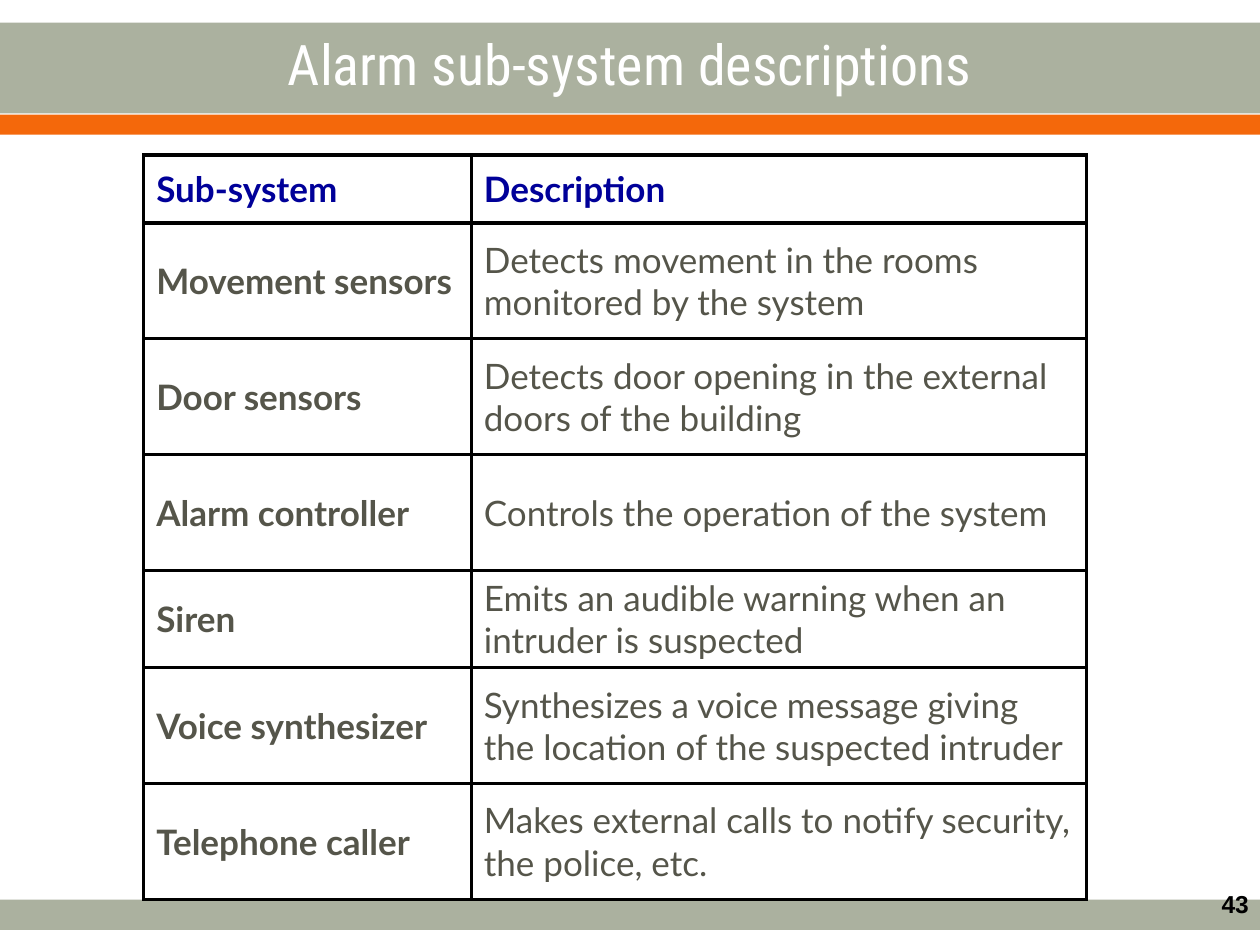
from dataclasses import dataclass
from typing import Any

from lxml.etree import SubElement
from pptx import Presentation
from pptx.dml.color import RGBColor
from pptx.enum.shapes import MSO_SHAPE
from pptx.enum.text import MSO_ANCHOR, PP_ALIGN
from pptx.oxml.ns import qn
from pptx.util import Inches, Pt

SUBSYSTEMS = [
    ("Sub-system", "Description"),
    ("Movement sensors", "Detects movement in the rooms monitored by the system"),
    ("Door sensors", "Detects door opening in the external doors of the building"),
    ("Alarm controller", "Controls the operation of the system"),
    ("Siren", "Emits an audible warning when an intruder is suspected"),
    ("Voice synthesizer", "Synthesizes a voice message giving the location of the suspected intruder"),
    ("Telephone caller", "Makes external calls to notify security, the police, etc."),
]
COLUMN_WIDTHS = [2.6, 4.88]
ROW_HEIGHTS = [0.54, 0.92, 0.92, 0.92, 0.77, 0.92, 0.92]


def color(value):
    return RGBColor.from_string(value)


@dataclass
class SlideBuilder:
    slide: Any
    sage: str = "ABB19F"
    orange: str = "F4680B"
    white: str = "FFFFFF"
    black: str = "000000"
    heading: str = "000099"
    body: str = "55554A"

    def band(self, top, height, fill):
        shape = self.slide.shapes.add_shape(
            MSO_SHAPE.RECTANGLE, 0, Inches(top), Inches(10), Inches(height))
        shape.shadow.inherit = False
        shape.fill.solid()
        shape.fill.fore_color.rgb = color(fill)
        shape.line.fill.background()

    def set_text(self, frame, text, font, size, fill, bold=False, align=PP_ALIGN.LEFT):
        frame.word_wrap = True
        paragraph = frame.paragraphs[0]
        paragraph.text = text
        paragraph.alignment = align
        paragraph.font.name = font
        paragraph.font.size = Pt(size)
        paragraph.font.bold = bold
        paragraph.font.color.rgb = color(fill)

    def text(self, left, top, width, height, text, anchor, **style):
        box = self.slide.shapes.add_textbox(
            Inches(left), Inches(top), Inches(width), Inches(height))
        box.text_frame.vertical_anchor = anchor
        self.set_text(box.text_frame, text, **style)

    def borders(self, cell):
        properties = cell._tc.get_or_add_tcPr()
        for index, side in enumerate(("a:lnL", "a:lnR", "a:lnT", "a:lnB")):
            line = properties.makeelement(qn(side), {"w": str(Pt(2))})
            fill = SubElement(line, qn("a:solidFill"))
            SubElement(fill, qn("a:srgbClr"), val=self.black)
            properties.insert(index, line)

    def table(self, left, top, rows, widths, heights):
        table = self.slide.shapes.add_table(
            len(rows), len(widths), Inches(left), Inches(top),
            Inches(sum(widths)), Inches(sum(heights))).table
        table.horz_banding = False
        for column, width in zip(table.columns, widths):
            column.width = Inches(width)
        for row_index, (row, height) in enumerate(zip(rows, heights)):
            table.rows[row_index].height = Inches(height)
            for column_index, text in enumerate(row):
                cell = table.cell(row_index, column_index)
                cell.fill.background()
                cell.vertical_anchor = MSO_ANCHOR.MIDDLE
                self.borders(cell)
                header = row_index == 0
                self.set_text(cell.text_frame, text, "Lato", 20,
                              self.heading if header else self.body,
                              bold=header or column_index == 0)


def main():
    presentation = Presentation()
    presentation.slide_width = Inches(10)
    presentation.slide_height = Inches(7.5)
    builder = SlideBuilder(presentation.slides.add_slide(presentation.slide_layouts[6]))

    builder.band(7.14, 0.24, builder.sage)
    builder.band(0.11, 1.59, builder.white)
    builder.band(0.18, 0.72, builder.sage)
    builder.band(0.91, 0.16, builder.orange)
    builder.text(7.68, 7.01, 2.33, 0.52, "43", MSO_ANCHOR.TOP, font="Arial",
                 size=14, fill=builder.black, bold=True, align=PP_ALIGN.RIGHT)
    builder.text(0, 0.19, 10, 0.62, "Alarm sub-system descriptions", MSO_ANCHOR.MIDDLE,
                 font="Roboto Condensed", size=32, fill=builder.white, align=PP_ALIGN.CENTER)
    builder.table(1.14, 1.23, SUBSYSTEMS, COLUMN_WIDTHS, ROW_HEIGHTS)
    presentation.save("out.pptx")


if __name__ == "__main__":
    main()
